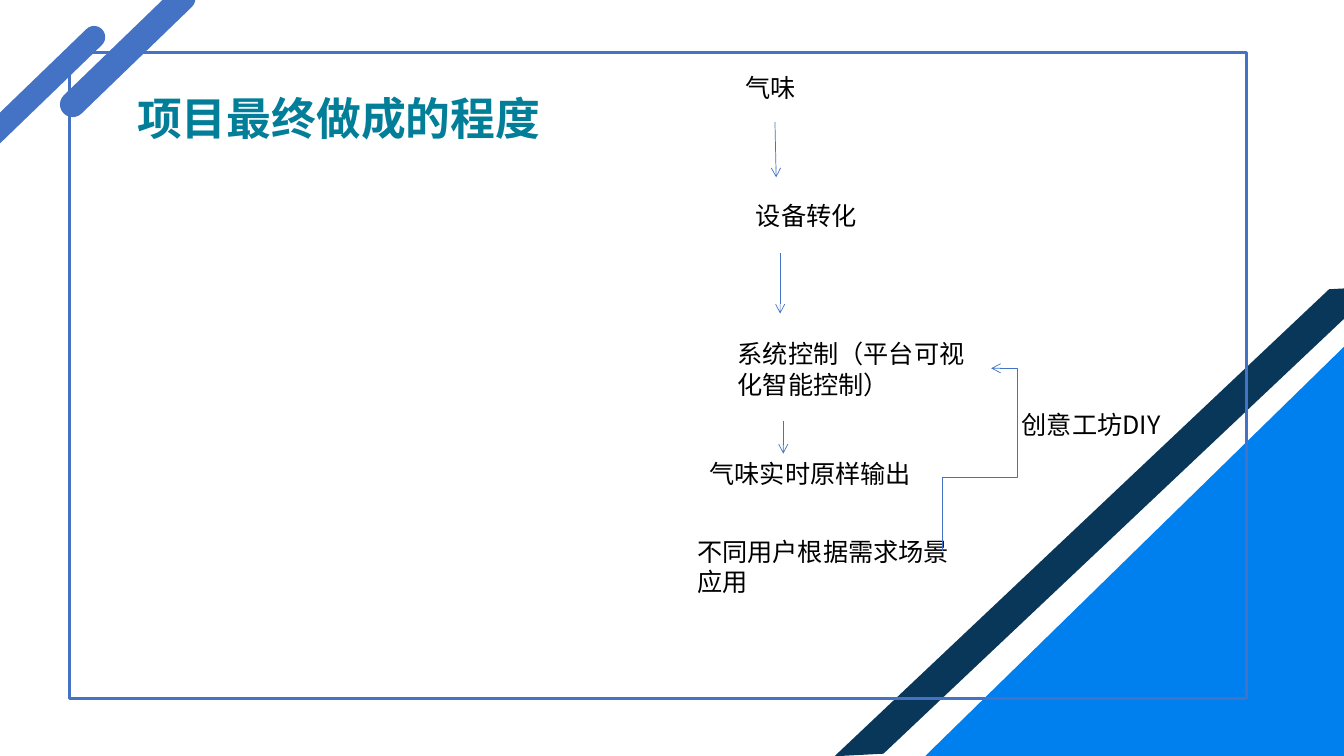
from dataclasses import dataclass
from lxml.etree import SubElement
from pptx import Presentation
from pptx.dml.color import RGBColor
from pptx.enum.shapes import MSO_CONNECTOR, MSO_SHAPE
from pptx.enum.text import MSO_ANCHOR, MSO_AUTO_SIZE, PP_ALIGN
from pptx.oxml.ns import qn
from pptx.util import Cm, Pt


@dataclass(frozen=True)
class Theme:
    blue: str = "4472C4"
    navy: str = "093759"
    bright: str = "007FEE"
    teal: str = "027E98"
    black: str = "000000"
    head: str = "Roboto Condensed"
    body: str = "Noto Sans CJK SC"
    big: int = 32
    small: int = 18
    thick: float = 2.25
    thin: float = 0.5


class Deck:
    def __init__(self, theme):
        self.theme = theme
        self.prs = Presentation()
        self.prs.slide_width, self.prs.slide_height = Cm(33.87), Cm(19.05)
        self.slide = self.prs.slides.add_slide(self.prs.slide_layouts[5])

    def style(self, frame, text, size, face, color, bold=False):
        frame.word_wrap = True
        frame.vertical_anchor = MSO_ANCHOR.TOP
        frame.auto_size = MSO_AUTO_SIZE.NONE
        para = frame.paragraphs[0]
        para.text = text
        para.alignment = PP_ALIGN.LEFT
        font = para.font
        font.size, font.bold, font.name = Pt(size), bold, face
        font.color.rgb = RGBColor.from_string(color)
        props = para._p.get_or_add_pPr().find(qn("a:defRPr"))
        SubElement(props, qn("a:ea")).set("typeface", self.theme.body)

    def title(self, text, *box):
        shape = self.slide.shapes.title
        shape.left, shape.top, shape.width, shape.height = map(Cm, box)
        t = self.theme
        self.style(shape.text_frame, text, t.big, t.head, t.teal, True)

    def label(self, text, *box):
        shape = self.slide.shapes.add_textbox(*map(Cm, box))
        t = self.theme
        self.style(shape.text_frame, text, t.small, t.body, t.black)

    def shape(self, kind, *box, fill=None, turn=0, adjust=None):
        shape = self.slide.shapes.add_shape(kind, *map(Cm, box))
        shape.shadow.inherit = False
        shape.rotation = turn
        if adjust is not None:
            shape.adjustments[0] = adjust
        if fill:
            shape.fill.solid()
            shape.fill.fore_color.rgb = RGBColor.from_string(fill)
            shape.line.fill.background()
        else:
            shape.fill.background()
            shape.line.color.rgb = RGBColor.from_string(self.theme.blue)
            shape.line.width = Pt(self.theme.thick)
        return shape

    def arrow(self, *ends, kind=MSO_CONNECTOR.STRAIGHT):
        link = self.slide.shapes.add_connector(kind, *map(Cm, ends))
        link.line.color.rgb = RGBColor.from_string(self.theme.blue)
        link.line.width = Pt(self.theme.thin)
        SubElement(link.line._get_or_add_ln(), qn("a:tailEnd")).set("type", "arrow")
        SubElement(link._element.spPr, qn("a:effectLst"))
        return link

    def bend(self, left, top, width, height, turn, *bends):
        link = self.arrow(left, top, left + width, top + height,
                          kind=MSO_CONNECTOR.ELBOW)
        props = link._element.spPr
        props.find(qn("a:xfrm")).set("rot", str(turn * 60000))
        geom = props.find(qn("a:prstGeom"))
        geom.set("prst", "bentConnector4")
        guides = geom.find(qn("a:avLst"))
        for num, bend in enumerate(bends, 1):
            guide = SubElement(guides, qn("a:gd"))
            guide.set("name", f"adj{num}")
            guide.set("fmla", f"val {round(bend * 100000)}")


def main():
    theme = Theme()
    deck = Deck(theme)
    deck.shape(MSO_SHAPE.PARALLELOGRAM, 20.73, 7.59, 14.3, 11.1,
               fill=theme.navy, turn=357, adjust=1.177)
    corner = deck.shape(MSO_SHAPE.RIGHT_TRIANGLE, 23.32, 8.74, 10.55, 10.31,
                        fill=theme.bright)
    corner._element.spPr.find(qn("a:xfrm")).set("flipH", "1")
    for bar in ((0.97, 0.97, 4.5, 0.64), (-1.14, 1.96, 4.32, 0.56)):
        deck.shape(MSO_SHAPE.ROUNDED_RECTANGLE, *bar,
                   fill=theme.blue, turn=316, adjust=0.5)
    deck.shape(MSO_SHAPE.RECTANGLE, 1.75, 1.32, 29.67, 16.28)
    deck.title("项目最终做成的程度", 3.2, 2.16, 15.34, 1.63)

    for step in (
        ("气味", 18.54, 1.7, 10.87, 1.02),
        ("设备转化", 18.8, 4.93, 3.78, 1.02),
        ("系统控制（平台可视化智能控制）", 18.34, 8.41, 6.63, 1.8),
        ("气味实时原样输出", 17.63, 11.43, 6.17, 1.02),
        ("不同用户根据需求场景应用", 17.32, 13.39, 6.93, 1.8),
        ("创意工坊DIY", 25.5, 10.19, 4.75, 1.02),
    ):
        deck.label(*step)
    for ends in (
        (19.53, 3.07, 19.56, 4.47),
        (19.66, 6.38, 19.66, 7.9),
        (19.74, 10.62, 19.74, 11.43),
    ):
        deck.arrow(*ends)
    deck.bend(22.07, 10.97, 4.6, 1.22, 270, 0.402, 1.542)
    deck.prs.save("out.pptx")


if __name__ == "__main__":
    main()
